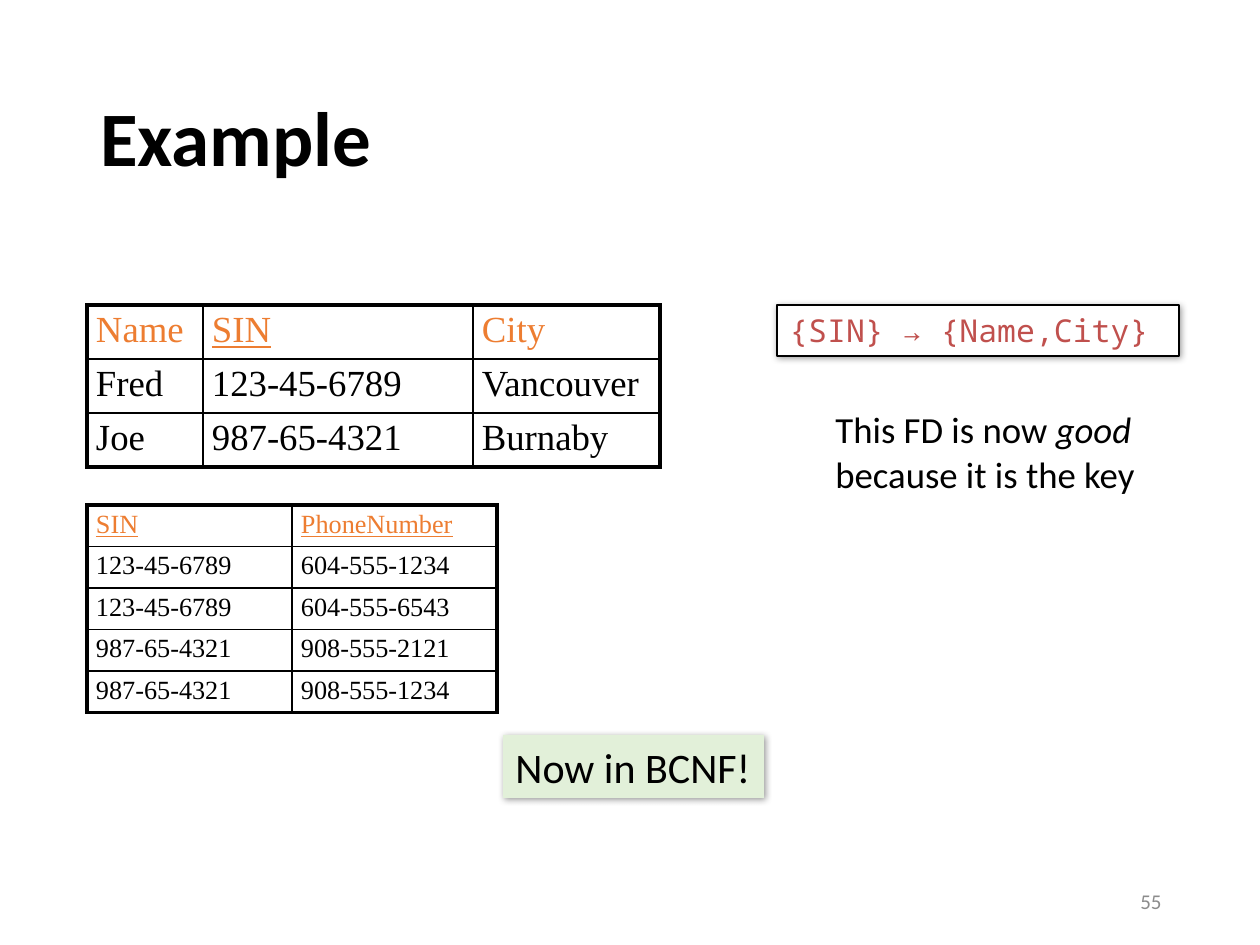
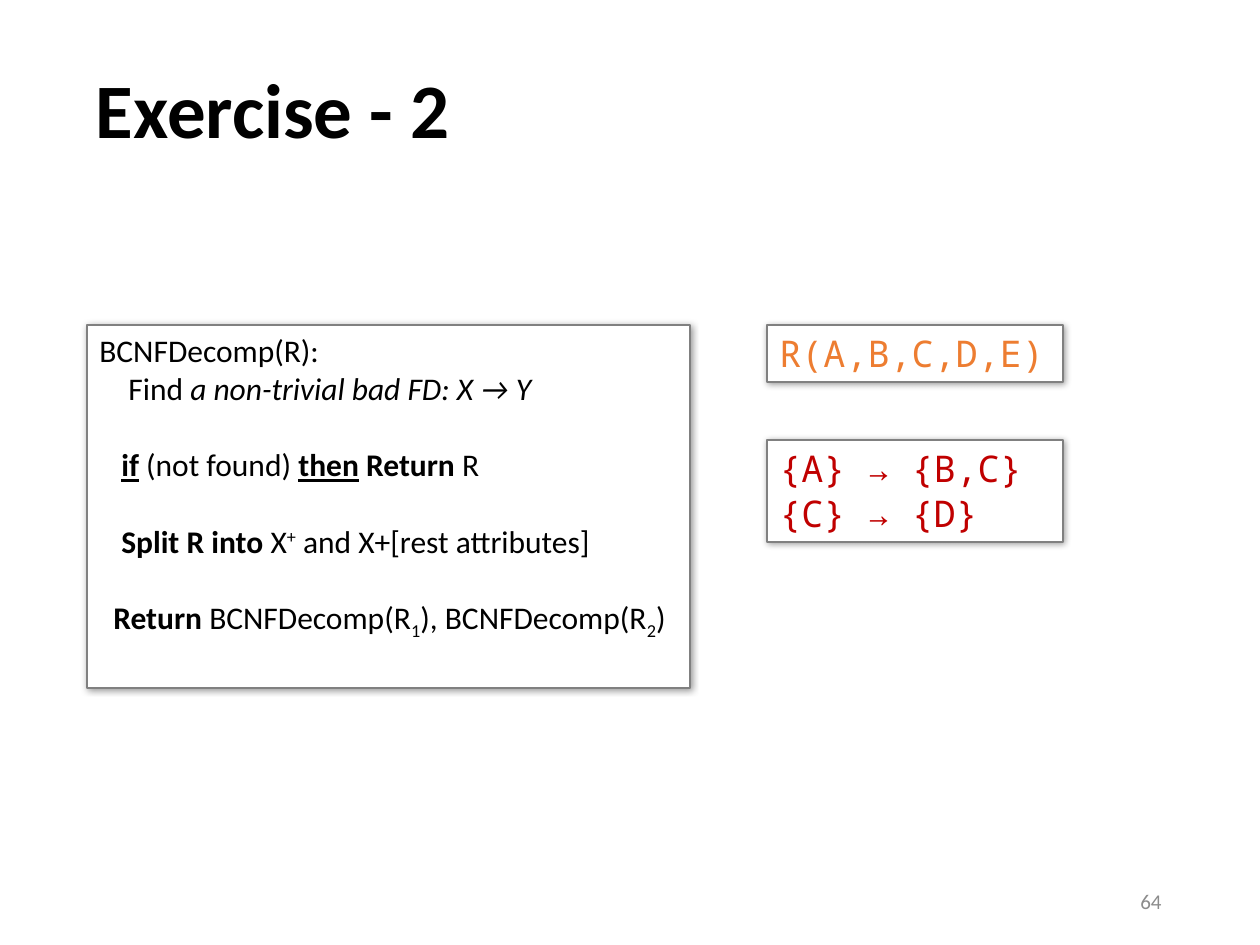
"""Builds two slides on decomposing relations into BCNF."""
from lxml import etree
from pptx import Presentation
from pptx.dml.color import RGBColor
from pptx.enum import shapes, text
from pptx.oxml.ns import qn
from pptx.util import Emu, Pt

SCALE = 914400 / 126
COLORS = {
    "ink": "000000", "paper": "FFFFFF", "frame": "808080", "number": "8C8C8C",
    "heading": "ED7D31", "good_fd": "C0504D", "given_fd": "C00000", "done": "E2F0D9",
}
SANS, MONO, SERIF = "Calibri", "Noto Sans Mono", "Times New Roman"
THICK, THIN = 2.25, 1
NUMBER_BOX = (890, 876, 284, 50)
BASELINES = {"^": 30000, "_": -25000}

SLIDES = [
    {
        "title": "Example", "title_box": (87, 50, 1086, 183), "title_inset": 13, "number": "55",
        "tables": [
            {"at": (87, 305), "columns": (116, 270, 187), "row": 53, "size": 21, "keys": ["SIN"],
             "rows": [("Name", "SIN", "City"),
                      ("Fred", "123-45-6789", "Vancouver"),
                      ("Joe", "987-65-4321", "Burnaby")]},
            {"at": (87, 505), "columns": (205, 205), "row": 41, "size": 15,
             "keys": ["SIN", "PhoneNumber"],
             "rows": [("SIN", "PhoneNumber"),
                      ("123-45-6789", "604-555-1234"),
                      ("123-45-6789", "604-555-6543"),
                      ("987-65-4321", "908-555-2121"),
                      ("987-65-4321", "908-555-1234")]},
        ],
        "cards": [
            {"box": (777, 305, 402, 51), "line": "ink", "font": (MONO, 18, "good_fd"),
             "lines": [[("{SIN} → {Name,City}", "")]]},
            {"box": (503, 735, 261, 63), "fill": "done", "font": (SANS, 24, "ink"),
             "wrap": False, "lines": [[("Now in BCNF!", "")]]},
        ],
        "notes": [
            {"box": (823, 401, 331, 102), "font": (SANS, 21, "ink"),
             "lines": [[("This FD is now ", ""), ("good ", "i"), ("because it is the key", "")]]},
        ],
    },
    {
        "title": "Exercise - 2", "title_box": (87, 45, 1086, 137), "title_inset": 9, "number": "64",
        "cards": [
            {"box": (767, 325, 296, 57), "line": "frame", "font": (MONO, 21, "heading"),
             "lines": [[("R(A,B,C,D,E)", "")]]},
            {"box": (87, 325, 603, 363), "line": "frame", "font": (SANS, 18, "ink"),
             "indents": (0, 29, 22, 22, 14), "gaps": (0, 0, 22, 22, 22),
             "lines": [
                 [("BCNFDecomp(R):", "")],
                 [("Find ", ""), ("a non-trivial bad FD: X → Y", "i")],
                 [("if", "bu"), (" (not found) ", ""), ("then", "bu"), (" ", ""),
                  ("Return", "b"), (" R", "")],
                 [("Split R into ", "b"), ("X", ""), ("+", "^"), (" and X+[rest attributes]", "")],
                 [("Return ", "b"), ("BCNFDecomp(R", ""), ("1", "_"), ("), BCNFDecomp(R", ""),
                  ("2", "_"), (")", "")],
             ]},
            {"box": (767, 440, 296, 102), "line": "frame", "font": (MONO, 21, "given_fd"),
             "lines": [[("{A} → {B,C}", "")], [("{C} → {D}", "")]]},
        ],
    },
]


def px(length):
    """Turn px into EMU."""
    return Emu(round(length * SCALE))


def place(box):
    """Turn a px box into EMU lengths."""
    return [px(length) for length in box]


def rgb(name):
    """Look up a colour by its role."""
    return RGBColor.from_string(COLORS[name])


def add_run(paragraph, words, font, style=""):
    """Add one run; style letters are b, i, u, ^ and _."""
    run = paragraph.add_run()
    run.text = words
    run.font.name, run.font.size = font[0], Pt(font[1])
    run.font.color.rgb = rgb(font[2])
    run.font.bold, run.font.italic, run.font.underline = (mark in style for mark in "biu")
    if style in BASELINES:
        run._r.get_or_add_rPr().set("baseline", str(BASELINES[style]))


def write(frame, part):
    """Fill a text frame with the lines of a part."""
    frame.word_wrap = part.get("wrap", True)
    frame.vertical_anchor = text.MSO_ANCHOR.TOP
    count = len(part["lines"])
    indents, gaps = part.get("indents", [0] * count), part.get("gaps", [0] * count)
    for index, (line, indent, gap) in enumerate(zip(part["lines"], indents, gaps)):
        paragraph = frame.add_paragraph() if index else frame.paragraphs[0]
        paragraph.alignment = text.PP_ALIGN.LEFT
        if indent:
            paragraph._p.get_or_add_pPr().set("marL", str(px(indent)))
        if gap:
            paragraph.space_before = Pt(gap)
        for words, style in line:
            add_run(paragraph, words, part["font"], style)


def add_shadow(card):
    """Give a card a soft shadow to the lower right."""
    card.shadow.inherit = False
    effects = card._element.spPr.find(qn("a:effectLst"))
    shadow = etree.SubElement(effects, qn("a:outerShdw"), blurRad=str(Pt(4)), dist=str(Pt(1)),
                              dir="2700000", algn="tl", rotWithShape="0")
    color = etree.SubElement(shadow, qn("a:srgbClr"), val=COLORS["ink"])
    etree.SubElement(color, qn("a:alpha"), val="40000")


def add_card(slide, part):
    """Add a shadowed rectangle with text."""
    card = slide.shapes.add_shape(shapes.MSO_SHAPE.RECTANGLE, *place(part["box"]))
    card.fill.solid()
    card.fill.fore_color.rgb = rgb(part.get("fill", "paper"))
    if "line" in part:
        card.line.color.rgb = rgb(part["line"])
        card.line.width = Pt(0.75)
    else:
        card.line.fill.background()
    add_shadow(card)
    write(card.text_frame, part)


def add_borders(cell, widths):
    """Draw the left, right, top and bottom borders of a cell."""
    properties = cell._tc.get_or_add_tcPr()
    for side, width in zip("LRTB", widths):
        border = etree.SubElement(properties, qn(f"a:ln{side}"), w=str(Pt(width)))
        fill = etree.SubElement(border, qn("a:solidFill"))
        etree.SubElement(fill, qn("a:srgbClr"), val=COLORS["ink"])


def add_relation(slide, part):
    """Add a relation as a table with a thick outer frame."""
    rows, columns = part["rows"], part["columns"]
    box = (*part["at"], sum(columns), part["row"] * len(rows))
    relation = slide.shapes.add_table(len(rows), len(columns), *place(box)).table
    for column, width in zip(relation.columns, columns):
        column.width = px(width)
    for r, row in enumerate(rows):
        relation.rows[r].height = px(part["row"])
        for c, value in enumerate(row):
            cell = relation.cell(r, c)
            edges = (c == 0, c == len(columns) - 1, r == 0, r == len(rows) - 1)
            add_borders(cell, [THICK if edge else THIN for edge in edges])
            cell.fill.background()
            cell.margin_left = cell.margin_right = px(9)
            cell.margin_top = cell.margin_bottom = px(5)
            paragraph = cell.text_frame.paragraphs[0]
            before = etree.SubElement(paragraph._p.get_or_add_pPr(), qn("a:spcBef"))
            etree.SubElement(before, qn("a:spcPct"), val="20000")
            font = (SERIF, part["size"], "ink" if r else "heading")
            add_run(paragraph, value, font, "u" if r == 0 and value in part["keys"] else "")


def add_title(slide, content):
    """Move and format the title placeholder."""
    title = slide.shapes.title
    title.left, title.top, title.width, title.height = place(content["title_box"])
    frame = title.text_frame
    frame.vertical_anchor = text.MSO_ANCHOR.MIDDLE
    frame.auto_size = text.MSO_AUTO_SIZE.NONE
    frame.margin_left = frame.margin_right = px(content["title_inset"])
    heading = frame.paragraphs[0]
    heading.alignment, heading.line_spacing = text.PP_ALIGN.LEFT, 0.9
    add_run(heading, content["title"], (SANS, 44, "ink"), "b")


def add_number(slide, number):
    """Write the slide number at the lower right."""
    frame = slide.shapes.add_textbox(*place(NUMBER_BOX)).text_frame
    frame.word_wrap = True
    frame.vertical_anchor = text.MSO_ANCHOR.MIDDLE
    frame.paragraphs[0].alignment = text.PP_ALIGN.RIGHT
    add_run(frame.paragraphs[0], number, (SANS, 12, "number"))


def main():
    """Build and save the presentation."""
    deck = Presentation()
    deck.slide_width, deck.slide_height = px(1260), px(945)
    for content in SLIDES:
        slide = deck.slides.add_slide(deck.slide_layouts[5])
        add_title(slide, content)
        add_number(slide, content["number"])
        for relation in content.get("tables", []):
            add_relation(slide, relation)
        for card in content["cards"]:
            add_card(slide, card)
        for note in content.get("notes", []):
            write(slide.shapes.add_textbox(*place(note["box"])).text_frame, note)
    deck.save("out.pptx")


if __name__ == "__main__":
    main()
